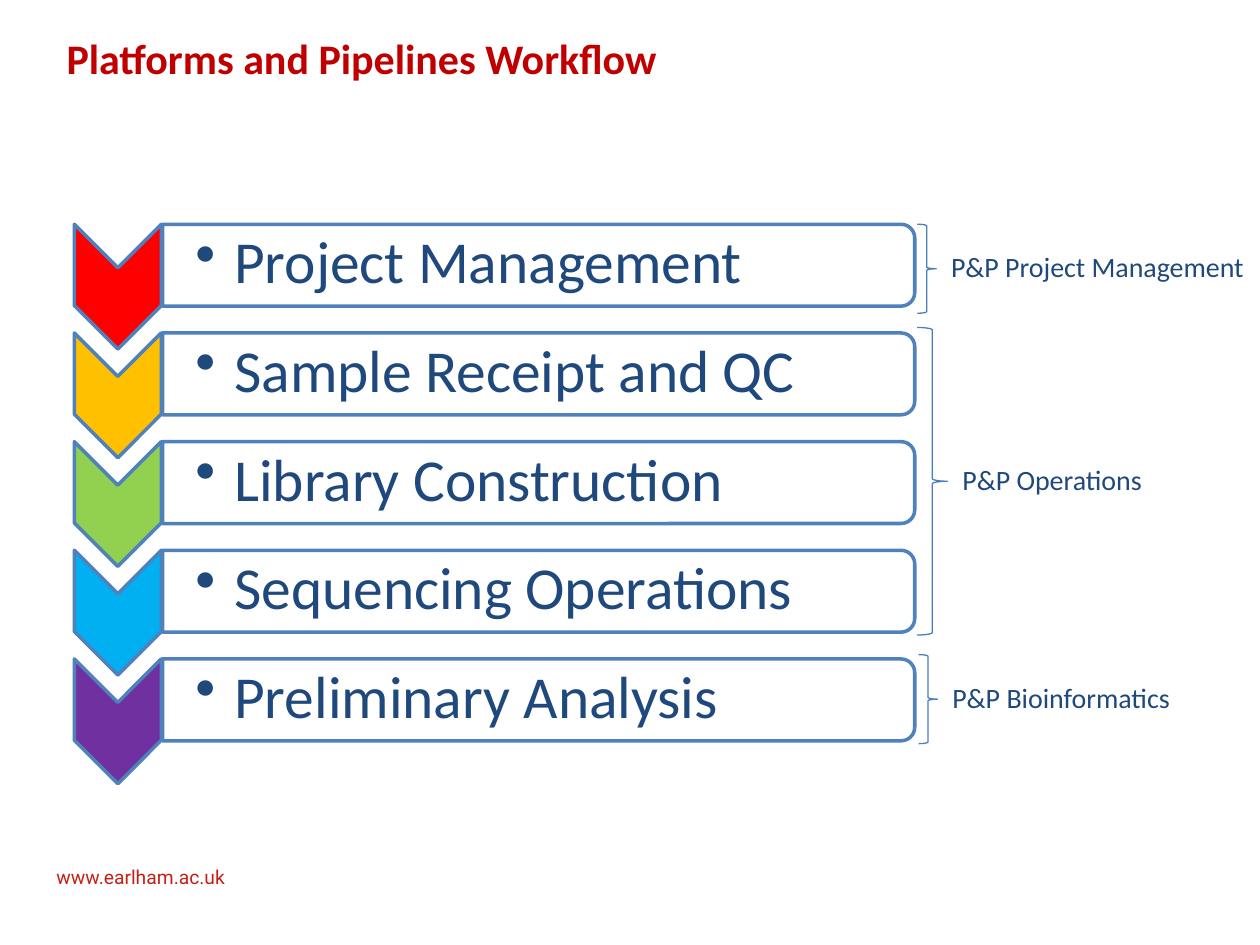
import pptx
from lxml import etree
from pptx.dml.color import RGBColor
from pptx.enum.shapes import MSO_SHAPE
from pptx.enum.text import MSO_ANCHOR
from pptx.oxml.ns import qn
from pptx.util import Inches, Pt

ROW_TOP, ROW_PITCH = 1.78, 0.8625
CHEVRON_LEFT, CHEVRON_WIDTH, CHEVRON_HEIGHT = 0.59, 0.69, 0.99
BAR_LEFT, BAR_WIDTH, BAR_HEIGHT = 1.29, 5.97, 0.65
NAVY, BLUE, BRACE_BLUE = "1F497D", "4F81BD", "4B7EBC"

STEPS = [
    ("Project Management", "FF0000"),
    ("Sample Receipt and QC", "FFC000"),
    ("Library Construction", "92D050"),
    ("Sequencing Operations", "00B0F0"),
    ("Preliminary Analysis", "7030A0"),
]
# label, first row, rows spanned, brace left, brace width, label width
TEAMS = [
    ("P&P Project Management", 0, 0.82, 7.28, 0.15, 2.6),
    ("P&P Operations", 0.95, 2.83, 7.28, 0.24, 1.65),
    ("P&P Bioinformatics", 3.96, 0.82, 7.29, 0.15, 1.95),
]


def color(hex_string):
    return RGBColor.from_string(hex_string)


def row_y(row):
    return ROW_TOP + row * ROW_PITCH


def add_shape(slide, kind, left, top, width, height, line, weight, fill=None):
    shape = slide.shapes.add_shape(
        kind, Inches(left), Inches(top), Inches(width), Inches(height))
    shape.shadow.inherit = False
    if fill:
        shape.fill.solid()
        shape.fill.fore_color.rgb = color(fill)
    else:
        shape.fill.background()
    shape.line.color.rgb = color(line)
    shape.line.width = Pt(weight)
    return shape


def add_turned_shape(slide, kind, left, top, width, height, fill):
    """Add a shape turned by 90 degrees that covers the given area."""
    shift = (width - height) / 2
    shape = add_shape(slide, kind, left + shift, top - shift, height, width,
                      BLUE, 2, fill)
    shape.rotation = 90
    return shape


def add_text(slide, text, left, top, width, height, size, hex_color,
             font="Calibri", bold=False, wrap=False):
    box = slide.shapes.add_textbox(
        Inches(left), Inches(top), Inches(width), Inches(height))
    frame = box.text_frame
    frame.word_wrap = wrap
    frame.text = text
    run_font = frame.paragraphs[0].runs[0].font
    run_font.name, run_font.size, run_font.bold = font, Pt(size), bold
    run_font.color.rgb = color(hex_color)
    return frame


def add_bullet(paragraph, indent):
    properties = paragraph._p.get_or_add_pPr()
    properties.set("marL", str(Inches(indent)))
    properties.set("indent", str(-Inches(indent)))
    etree.SubElement(properties, qn("a:buChar")).set("char", "•")


def add_step(slide, row, name, fill):
    top = row_y(row)
    add_turned_shape(slide, MSO_SHAPE.CHEVRON, CHEVRON_LEFT, top,
                     CHEVRON_WIDTH, CHEVRON_HEIGHT, fill)
    add_turned_shape(slide, MSO_SHAPE.ROUND_2_SAME_RECTANGLE, BAR_LEFT, top,
                     BAR_WIDTH, BAR_HEIGHT, "FFFFFF")
    frame = add_text(slide, name, BAR_LEFT, top + 0.03, BAR_WIDTH - 0.03,
                     BAR_HEIGHT - 0.07, 34, NAVY, wrap=True)
    frame.vertical_anchor = MSO_ANCHOR.MIDDLE
    frame.margin_left = Inches(0.26)
    frame.margin_top = frame.margin_right = frame.margin_bottom = Inches(0.02)
    add_bullet(frame.paragraphs[0], 0.31)
    frame.paragraphs[0].line_spacing = 0.9


def add_team(slide, label, first_row, rows, left, width, label_width):
    top, height = row_y(first_row), rows * ROW_PITCH
    add_shape(slide, MSO_SHAPE.RIGHT_BRACE, left, top, width, height,
              BRACE_BLUE, 0.75)
    add_text(slide, label, left + width + 0.02, top + height / 2 - 0.2,
             label_width, 0.37, 16, NAVY)


def main():
    presentation = pptx.Presentation()
    presentation.slide_width = Inches(10)
    presentation.slide_height = Inches(7.5)
    slide = presentation.slides.add_slide(presentation.slide_layouts[6])
    add_text(slide, "www.earlham.ac.uk", 0.35, 6.82, 1.97, 0.29, 11,
             "C61F16", font="Roboto", wrap=True)
    for row, (name, fill) in enumerate(STEPS):
        add_step(slide, row, name, fill)
    for team in TEAMS:
        add_team(slide, *team)
    add_text(slide, "Platforms and Pipelines Workflow", 0.43, 0.21, 4.94, 0.5,
             24, "C00000", bold=True)
    presentation.save("out.pptx")


if __name__ == "__main__":
    main()
